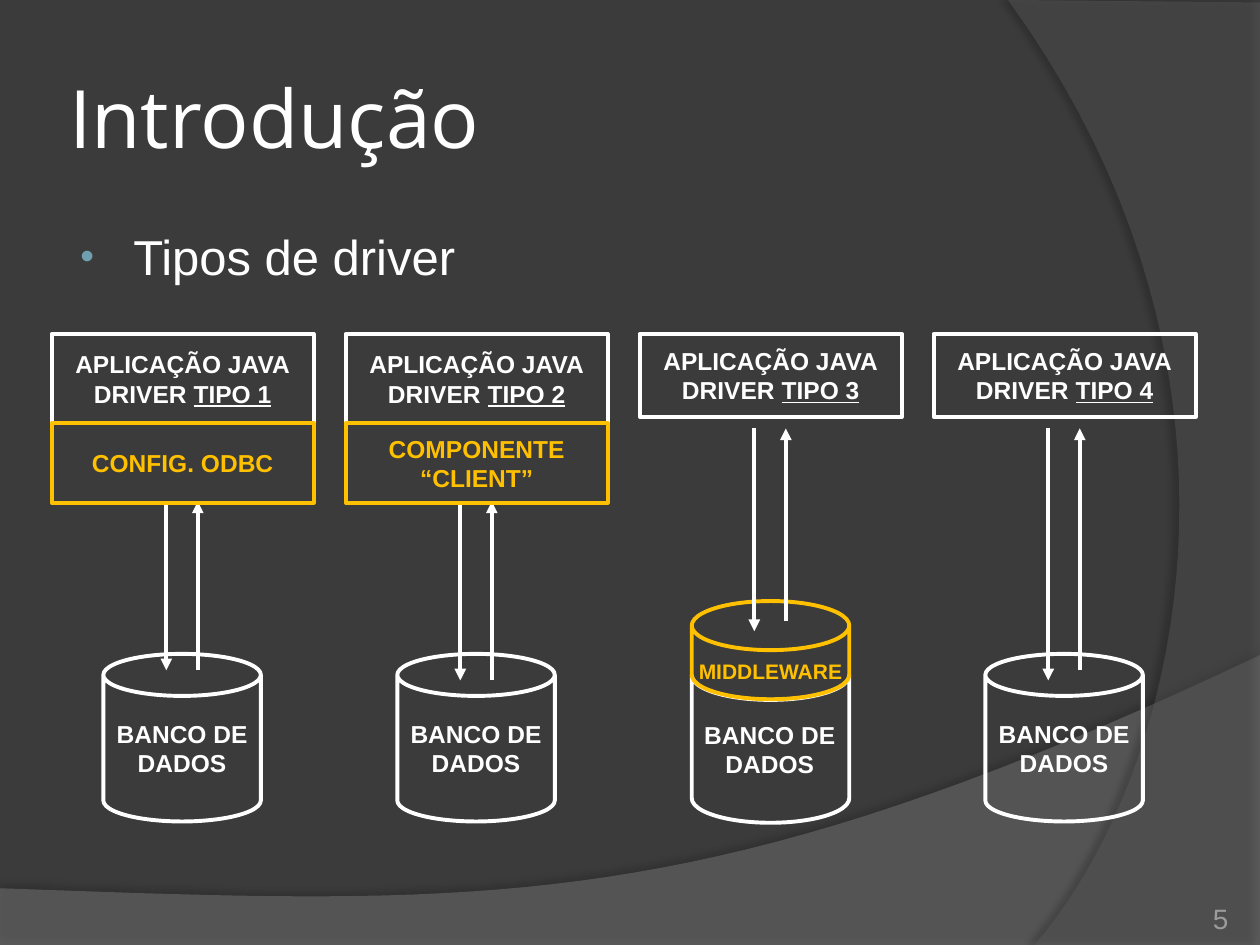
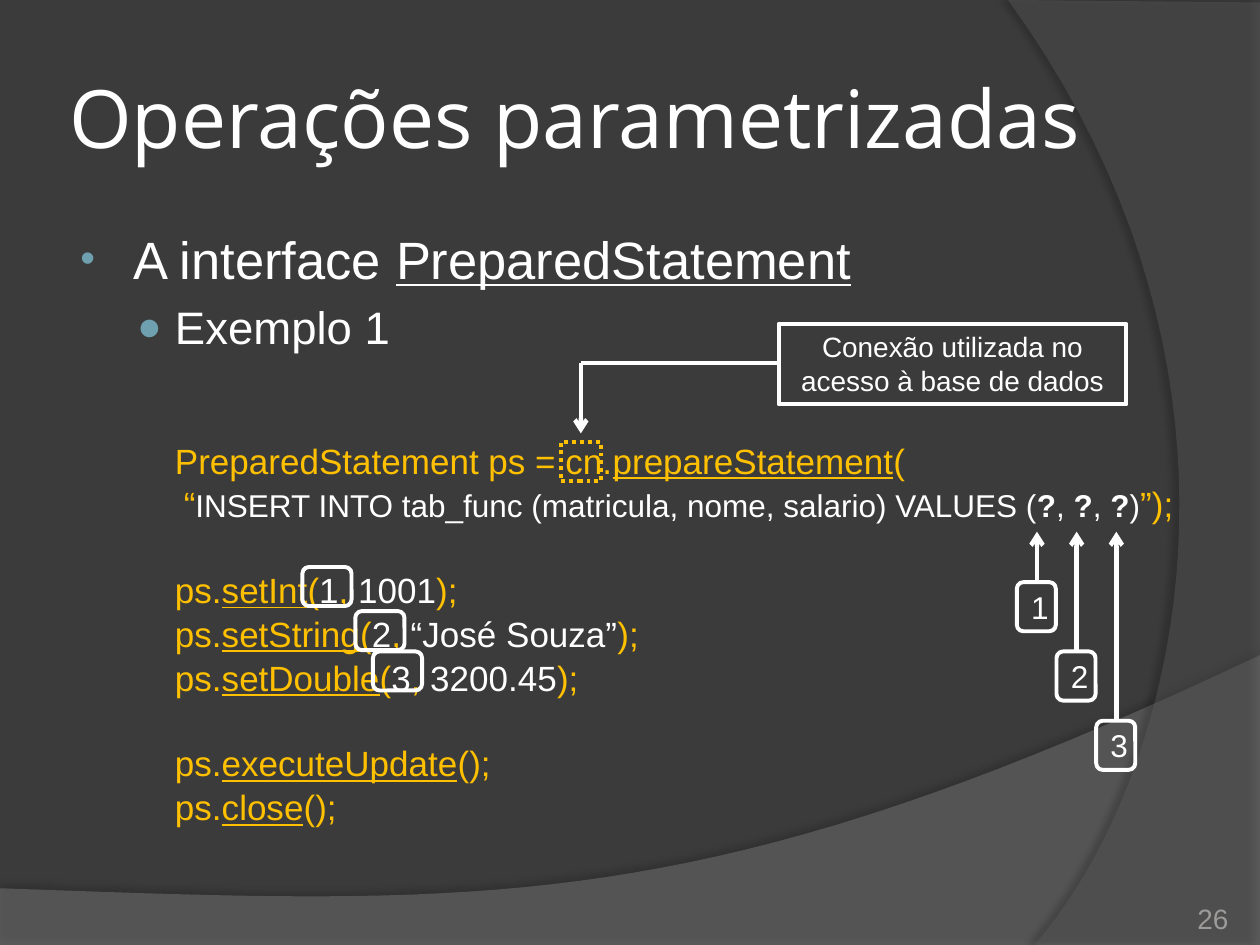
"""Builds two slides about database drivers and prepared statements."""
from lxml import etree
from pptx import Presentation
from pptx.dml.color import RGBColor
from pptx.enum.dml import MSO_LINE
from pptx.enum.shapes import MSO_CONNECTOR, MSO_SHAPE
from pptx.enum.text import MSO_ANCHOR, PP_ALIGN
from pptx.oxml import parse_xml
from pptx.oxml.ns import nsdecls, qn
from pptx.util import Inches, Pt

BACK = RGBColor(0x3B, 0x3B, 0x3B)
WHITE = RGBColor(0xFF, 0xFF, 0xFF)
GOLD = RGBColor(0xFF, 0xC0, 0x00)
BULLET = RGBColor(0x6E, 0xA0, 0xB0)
GREY = RGBColor(0x9D, 0x9B, 0x9A)
BAND_LOW = RGBColor(0x7F, 0x7F, 0x7F)
BAND_SIDE = RGBColor(0x5E, 0x5E, 0x5E)
RECT, ROUND, CAN = MSO_SHAPE.RECTANGLE, MSO_SHAPE.ROUNDED_RECTANGLE, MSO_SHAPE.CAN
STORAGE = MSO_SHAPE.FLOWCHART_STORED_DATA
LEFT, CENTER, RIGHT = PP_ALIGN.LEFT, PP_ALIGN.CENTER, PP_ALIGN.RIGHT
TOP, MIDDLE, BOTTOM = MSO_ANCHOR.TOP, MSO_ANCHOR.MIDDLE, MSO_ANCHOR.BOTTOM
DOTTED = MSO_LINE.ROUND_DOT
STRAIGHT = MSO_CONNECTOR.STRAIGHT
UNDER, BOLD = {"underline": True}, {"bold": True}
PLAIN, SQL = {"color": WHITE}, {"color": WHITE, "size": Pt(18)}
SQL_MARK = {**SQL, **BOLD}


def add_box(s, kind, at, paras=(), color=WHITE, align=CENTER, anchor=MIDDLE, wrap=True,
            inset=None, **font):
    at = [Inches(v) for v in at]
    if kind is None:
        sp = s.shapes.add_textbox(*at)
    else:
        sp = s.shapes.add_shape(kind, *at)
        sp.shadow.inherit = False
        sp.fill.background()
        sp.line.color.rgb = color
        sp.line.width = Pt(2.25)
    tf = sp.text_frame
    tf.word_wrap, tf.vertical_anchor = wrap, anchor
    if inset is not None:
        for side in ("left", "top", "right", "bottom"):
            setattr(tf, f"margin_{side}", Inches(inset))
    for i, runs in enumerate(paras):
        p = tf.add_paragraph() if i else tf.paragraphs[0]
        p.alignment = align
        for text, extra in runs:
            for j, part in enumerate(text.split("\n")):
                if j:
                    p.add_line_break()
                r = p.add_run()
                r.text = part
                values = {"name": "Arial", "color": color, **font, **extra}
                r.font.color.rgb = values.pop("color")
                for name, value in values.items():
                    setattr(r.font, name, value)
    return sp


def add_line(s, x1, y1, x2, y2, width=2.25, head=None):
    cn = s.shapes.add_connector(STRAIGHT, *[Inches(v) for v in (x1, y1, x2, y2)])
    cn.line.color.rgb = WHITE
    cn.line.width = Pt(width)
    if head:
        etree.SubElement(cn.line._get_or_add_ln(), qn("a:tailEnd")).set("type", head)
    etree.SubElement(cn._element.spPr, qn("a:effectLst"))


prs = Presentation()
prs.slide_width, prs.slide_height = Inches(10), Inches(7.5)

BANDS = [
    ([(0, 7.5), (10, 7.5), (10, 5.2)], [(10, 5.2), (5.59, 7.29), (3.91, 7.19), (0, 7.05)],
     BAND_LOW, 45, 35, 3.5, 270),
    ([(10, 0.02), (10, 7.5), (8.21, 7.5)], [(8.21, 7.5), (9.35, 6.19), (10.18, 3), (8, 0)],
     BAND_SIDE, 40, 45, 4, 180),
]

TYPES = [[("Tipos de driver", {})]]
CODE = [
    [("A interface ", {"size": Pt(30)}), ("PreparedStatement", {"size": Pt(30), **UNDER})],
    [("Exemplo 1", {"size": Pt(26)})],
    [("PreparedStatement ps = cn.", {}), ("prepareStatement", UNDER), ("(", {})],
    [("“", {}), ("INSERT INTO tab_func (matricula, nome, salario) VALUES (", SQL),
     ("?", SQL_MARK), (", ", SQL), ("?", SQL_MARK), (", ", SQL), ("?", SQL_MARK), (")", SQL),
     ("”);", {})],
]
for number, (method, value) in enumerate(
        [("setInt", "1001"), ("setString", "“José Souza”"), ("setDouble", "3200.45")], 1):
    CODE.append([("ps.", {}), (method, UNDER), ("(", {}), (str(number), PLAIN), (",", {}),
                 (" " + value, PLAIN), (");", {})])
for method in ("executeUpdate", "close"):
    CODE.append([("ps.", {}), (method, UNDER), ("();", {})])
for runs in CODE[:2]:
    for text, extra in runs:
        extra["color"] = WHITE

PAGES = [("Introdução", "5", TYPES, 8.17, WHITE, 28),
         ("Operações parametrizadas", "26", CODE, 8.91, GOLD, 20)]
for title, number, body, width, color, size in PAGES:
    s = prs.slides.add_slide(prs.slide_layouts[6])
    s.background.fill.solid()
    s.background.fill.fore_color.rgb = BACK
    for corners, (a, b, c, d), fill, alpha, shade, dist, angle in BANDS:
        curve = []
        for i in range(1, 41):
            t = i / 40
            u = 1 - t
            curve.append([u**3 * a[k] + 3 * u * u * t * b[k] + 3 * u * t * t * c[k] + t**3 * d[k]
                          for k in (0, 1)])
        points = [(Inches(x), Inches(y)) for x, y in corners + curve]
        fb = s.shapes.build_freeform(*points[0])
        fb.add_line_segments(points[1:])
        sp = fb.convert_to_shape()
        sp.fill.solid()
        sp.fill.fore_color.rgb = fill
        sp.line.fill.background()
        rgb = sp._element.spPr.find(".//" + qn("a:srgbClr"))
        etree.SubElement(rgb, qn("a:alpha")).set("val", str(alpha * 1000))
        sp._element.spPr.append(parse_xml(
            f'<a:effectLst {nsdecls("a")}><a:outerShdw blurRad="{Pt(4)}" dist="{Pt(dist)}" '
            f'dir="{angle * 60000}"><a:srgbClr val="000000"><a:alpha val="{shade * 1000}"/>'
            '</a:srgbClr></a:outerShdw></a:effectLst>'))
    add_box(s, None, (0.5, 0.3, 8.17, 1.25), [[(title, {})]], align=LEFT, inset=0.05,
            name="Open Sans", size=Pt(46))
    sp = add_box(s, None, (0.5, 1.75, width, 4.95), body, color, LEFT, TOP, size=Pt(size))
    bullets = [(0.46, -0.42, "•", 80, 5.6), (0.79, -0.3, "●", 90, 5.2)]
    for i, p in enumerate(sp.text_frame.paragraphs):
        pPr = p._p.get_or_add_pPr()
        margin, indent, char, scale, before = bullets[i] if i < 2 else (0.79, 0, None, 0, 1)
        pPr.set("marL", str(Inches(margin)))
        pPr.set("indent", str(Inches(indent)))
        p.space_before = Pt({2: 49, 4: 25, 7: 25}.get(i, before))
        if char:
            clr = etree.SubElement(pPr, qn("a:buClr"))
            etree.SubElement(clr, qn("a:srgbClr")).set("val", str(BULLET))
            etree.SubElement(pPr, qn("a:buSzPct")).set("val", str(scale * 1000))
            etree.SubElement(pPr, qn("a:buFont")).set("typeface", "Arial")
            etree.SubElement(pPr, qn("a:buChar")).set("char", char)
        if i == 3:
            p.alignment = RIGHT
    add_box(s, None, (8.92, 7.02, 0.83, 0.4), [[(number, {})]], GREY, RIGHT, BOTTOM,
            inset=0, size=Pt(16))

s = prs.slides[0]
label = {"size": Pt(14), "bold": True}
database = [[("BANCO DE", {})], [("DADOS", {})]]
DRIVERS = [
    (0.71, "CONFIG. ODBC", 3.98, 5.32, 5.32),
    (0.71, "COMPONENTE “CLIENT”", 3.98, 5.4, 5.4),
    (0.66, None, 3.4, 5.01, 4.93),
    (0.66, None, 3.4, 5.4, 5.32),
]
for i, (height, layer, top, down, up) in enumerate(DRIVERS):
    x = 0.41 + i * 7 / 3
    add_box(s, RECT, (x, 2.65, 2.08, height),
            [[("APLICAÇÃO JAVA\nDRIVER ", {}), (f"TIPO {i + 1}", UNDER)]], **label)
    if i == 2:
        sp = add_box(s, STORAGE, (5.53, 5.32, 1.17, 1.25), database, wrap=False, **label)
        sp.rotation = 270
        sp.text_frame._txBody.bodyPr.set("vert", "eaVert")
        sp = add_box(s, CAN, (5.49, 4.77, 1.25, 0.78), [[("MIDDLEWARE", {})]], GOLD,
                     wrap=False, size=Pt(12), bold=True)
        sp.adjustments[0] = 0.5
        sp.text_frame.paragraphs[0].line_spacing = 1.7
    else:
        sp = add_box(s, CAN, (x + 0.41, 5.19, 1.25, 1.33), database, wrap=False, **label)
        sp.adjustments[0] = 0.267
    add_line(s, x + 0.91, top, x + 0.91, down, head="triangle")
    add_line(s, x + 1.16, up, x + 1.16, top, head="triangle")
    if layer:
        add_box(s, RECT, (x, 3.36, 2.08, 0.63), [[(layer, {})]], GOLD, **label)

s = prs.slides[1]
sp = add_box(s, RECT, (4.45, 3.51, 0.32, 0.31), color=GOLD)
sp.line.dash_style = DOTTED
add_box(s, RECT, (6.18, 2.57, 2.76, 0.64),
        [[("Conexão utilizada no acesso à base de dados", {})]], anchor=TOP, size=Pt(16))
add_line(s, 4.61, 2.88, 4.61, 3.44, 2.5, "arrow")
add_line(s, 6.18, 2.88, 4.61, 2.88, 2.5)
for x, y in [(2.4, 4.5), (2.82, 4.85), (2.96, 5.17)]:
    add_box(s, ROUND, (x, y, 0.39, 0.31))
for i in range(3):
    x, y = 8.07 + i * 0.315, 4.62 + i * 0.55
    add_line(s, x + 0.16, y, x + 0.16, 4.22, 2.5, "arrow")
    add_box(s, ROUND, (x, y, 0.31, 0.39), [[(str(i + 1), {})]], size=Pt(18))

prs.save("out.pptx")
